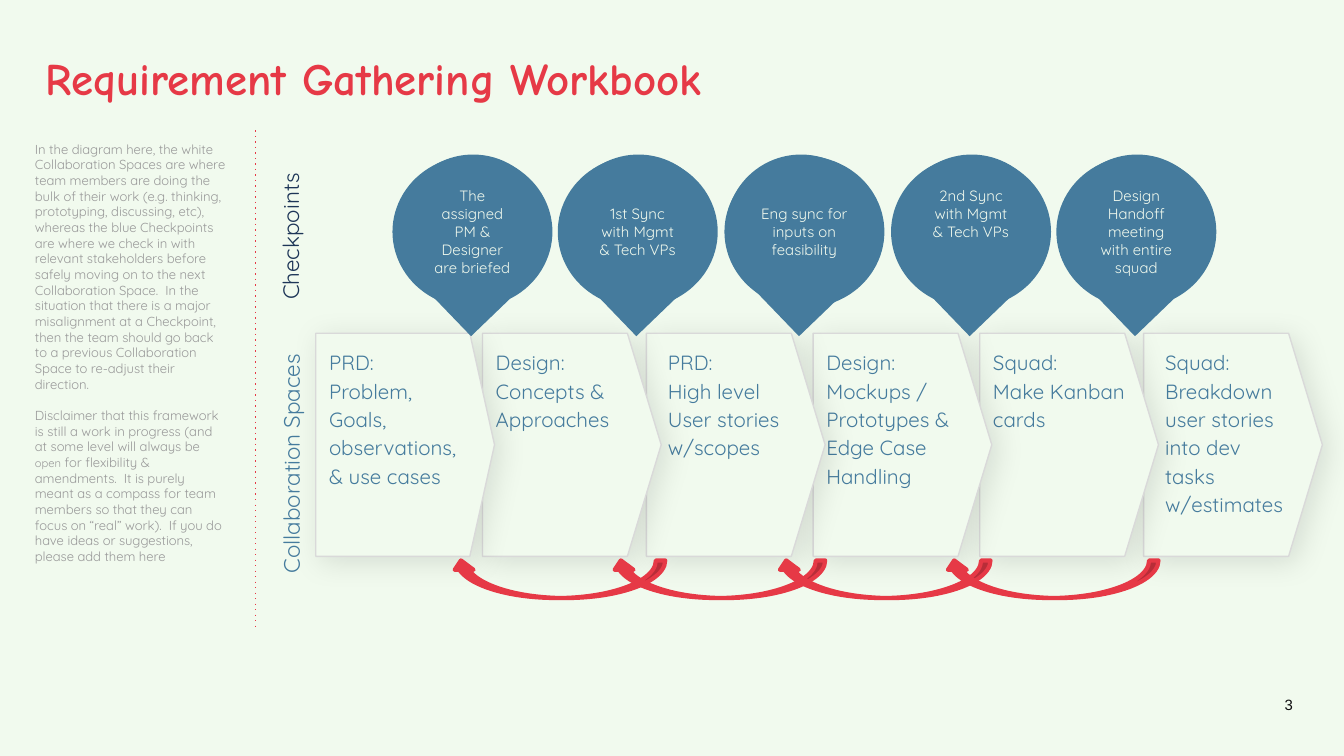
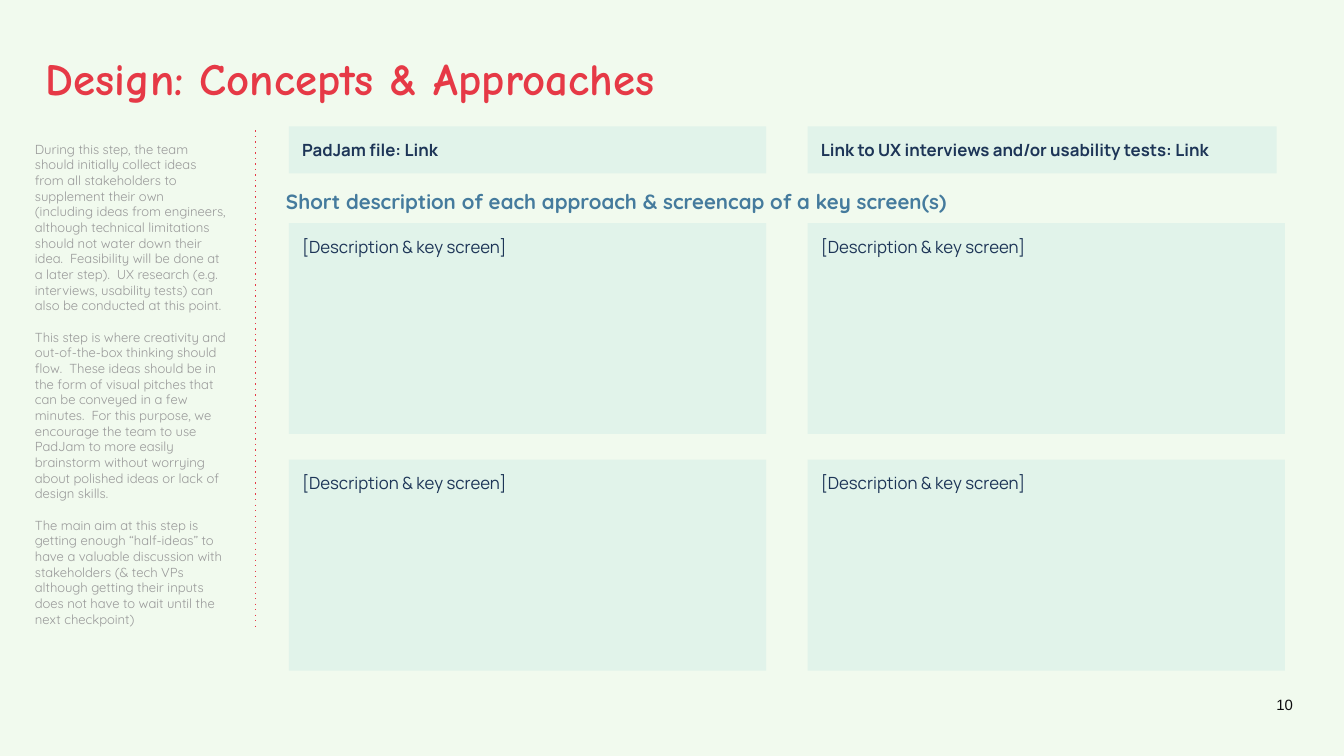
from lxml import etree
from pptx import Presentation, util as u
from pptx.dml import color as dml
from pptx.enum import shapes, text
from pptx.oxml import ns

EMU_PER_PX = 9144
COLORS = {
    "background": "F1FAEE",
    "red": "E63946",
    "blue": "457B9D",
    "navy": "1D3557",
    "aqua": "A8DADC",
    "grey": "999999",
    "border": "D9D9D9",
    "number": "0D0C0E",
}
BODY_FONT = "Quicksand"
CARD_FONT = "Manrope"
TITLE_FONT = "Comic Neue"

SPACES = [
    (235, 10, 0.138, "PRD:\vProblem, Goals, observations, & use cases"),
    (359, 10, 0.189, "Design:\vConcepts & Approaches"),
    (481, 16, 0.189, "PRD:\vHigh level User stories w/scopes"),
    (605, 10, 0.189, "Design:\vMockups / Prototypes & Edge Case Handling"),
    (729, 10, 0.189, "Squad:\vMake Kanban cards"),
    (851, 16, 0.189, "Squad:\vBreakdown user stories into dev tasks w/estimates"),
]
CHECKPOINTS = [
    (292, 296, 10, "The assigned PM & Designer are briefed"),
    (415, 419, 10, "1st Sync with Mgmt & Tech VPs"),
    (539, 540, 10, "Eng sync for inputs on feasibility"),
    (663, 667, 37, "2nd Sync with Mgmt & Tech VPs"),
    (786, 790, 10, "Design Handoff meeting with entire squad"),
]
RETURN_ARROW_LEFTS = [336, 455, 578, 703]
WORKBOOK_NOTES = [
    [("In the diagram here, the white Collaboration Spaces are where team members are "
      "doing the bulk of their work (e.g. thinking, prototyping, discussing, etc), whereas "
      "the blue Checkpoints are where we check in with relevant stakeholders before safely "
      "moving on to the next Collaboration Space.  In the situation that there is a major "
      "misalignment at a Checkpoint, then the team should go back to a previous "
      "Collaboration Space to re-adjust their direction.", 7)],
    [("Disclaimer that this framework is still a work in progress (and at some level will "
      "always be ", 7),
     ("open", 6),
     (" for flexibility & amendments.  It is purely meant as a compass for team members so "
      "that they can focus on “real” work).  If you do have ideas or suggestions, please "
      "add them here", 7)],
]
CONCEPT_NOTES = [
    [("During this step, the team should initially collect ideas from all stakeholders to "
      "supplement their own (including ideas from engineers, although technical limitations "
      "should not water down their idea.  Feasibility will be done at a later step).  UX "
      "research (e.g. interviews, usability tests) can also be conducted at this point.", 7)],
    [("This step is where creativity and out-of-the-box thinking should flow.  These ideas "
      "should be in the form of visual pitches that can be conveyed in a few minutes.  For "
      "this purpose, we encourage the team to use PadJam to more easily brainstorm without "
      "worrying about polished ideas or lack of design skills.", 7)],
    [("The main aim at this step is getting enough “half-ideas” to have a valuable "
      "discussion with stakeholders (& tech VPs although getting their inputs does not have "
      "to wait until the next checkpoint)", 7)],
]


def px(length):
    return u.Emu(length * EMU_PER_PX)


def rgb(name):
    return dml.RGBColor.from_string(COLORS[name])


def place(shape, left, top, width, height):
    shape.left, shape.top = px(left), px(top)
    shape.width, shape.height = px(width), px(height)


def set_frame(shape, anchor=text.MSO_ANCHOR.TOP, left=10, bottom=10):
    frame = shape.text_frame
    frame.word_wrap = True
    frame.auto_size = text.MSO_AUTO_SIZE.NONE
    frame.vertical_anchor = anchor
    frame.margin_left, frame.margin_bottom = px(left), px(bottom)
    frame.margin_top = frame.margin_right = px(10)
    return frame


def style(paragraph, size, color, font=BODY_FONT, bold=False,
          align=text.PP_ALIGN.LEFT, spacing=None):
    paragraph.alignment = align
    paragraph.line_spacing = spacing
    paragraph.font.name = font
    paragraph.font.size = u.Pt(size)
    paragraph.font.bold = bold
    paragraph.font.color.rgb = rgb(color)


def write(frame, wording, size, color, **options):
    frame.text = wording
    style(frame.paragraphs[0], size, color, **options)


def add_label(slide, box, wording, size, color, rotation=0,
              anchor=text.MSO_ANCHOR.TOP, **options):
    label = slide.shapes.add_textbox(*map(px, box))
    label.rotation = rotation
    write(set_frame(label, anchor), wording, size, color, **options)


def add_filled(slide, kind, box, color):
    shape = slide.shapes.add_shape(kind, *map(px, box))
    shape.shadow.inherit = False
    shape.fill.solid()
    shape.fill.fore_color.rgb = rgb(color)
    shape.line.fill.background()
    return shape


def outline(shape, color, width):
    shape.line.color.rgb = rgb(color)
    shape.line.width = u.Pt(width)


def add_child(parent, tag, **attributes):
    return etree.SubElement(parent, ns.qn(tag), attributes)


def add_soft_shadow(shape):
    effects = shape._element.spPr.find(ns.qn("a:effectLst"))
    shadow = add_child(effects, "a:outerShdw", blurRad=str(u.Pt(15.8)),
                       dist=str(u.Pt(3.8)), dir="2580000", algn="bl", rotWithShape="0")
    shade = add_child(shadow, "a:srgbClr", val="000000")
    add_child(shade, "a:alpha", val="11000")


def add_divider(slide):
    divider = slide.shapes.add_connector(
        shapes.MSO_CONNECTOR.STRAIGHT, px(190), px(97), px(190), px(466))
    outline(divider, "red", 0.75)
    properties = divider._element.spPr
    add_child(properties.find(ns.qn("a:ln")), "a:prstDash", val="dot")
    add_child(properties, "a:effectLst")


def add_notes_column(placeholder, notes):
    place(placeholder, 16, 95, 162, 408)
    frame = set_frame(placeholder)
    for index, runs in enumerate(notes):
        paragraph = frame.add_paragraph() if index else frame.paragraphs[0]
        for wording, size in runs:
            run = paragraph.add_run()
            run.text = wording
            run.font.size = u.Pt(size)
        style(paragraph, 7, "grey")
        paragraph.space_before = u.Pt(8.4 if index else 0)
        properties = paragraph._p.get_or_add_pPr()
        properties.set("marL", "0")
        properties.set("indent", "0")
        bullet = etree.Element(ns.qn("a:buNone"))
        properties.insert_element_before(bullet, "a:tabLst", "a:defRPr", "a:extLst")


def add_page(presentation, title, notes, number):
    slide = presentation.slides.add_slide(presentation.slide_layouts[1])
    heading = slide.shapes.title
    place(heading, 24, 22, 779, 88)
    write(set_frame(heading), title, 24, "red", font=TITLE_FONT, bold=True, spacing=1.15)
    add_notes_column(slide.placeholders[1], notes)
    add_divider(slide)
    add_label(slide, (918, 498, 54, 43), number, 8, "number", font="Arial",
              anchor=text.MSO_ANCHOR.BOTTOM, align=text.PP_ALIGN.RIGHT)
    return slide


def add_space(slide, left, margin, point, wording):
    plate = add_filled(slide, shapes.MSO_SHAPE.PENTAGON, (left, 248, 133, 166), "background")
    plate.adjustments[0] = point
    outline(plate, "border", 0.75)
    add_soft_shadow(plate)
    write(set_frame(plate, left=margin), wording, 11, "blue", spacing=1.15)


def add_checkpoint(slide, left, pin_left, bottom, wording):
    pin = add_filled(slide, shapes.MSO_SHAPE.TEAR, (pin_left, 115, 112, 112), "blue")
    pin.rotation = 136.1
    bubble = add_filled(slide, shapes.MSO_SHAPE.OVAL, (left, 116, 119, 113), "blue")
    write(set_frame(bubble, text.MSO_ANCHOR.MIDDLE, bottom=bottom), wording, 8,
          "background", align=text.PP_ALIGN.CENTER)


def add_return_arrow(slide, left):
    arrow = add_filled(slide, shapes.MSO_SHAPE.CURVED_UP_ARROW, (left, 417, 159, 28), "red")
    outline(arrow, "red", 2.25)
    arrow._element.spPr.find(ns.qn("a:xfrm")).set("flipH", "1")


def add_card(slide, box, wording, bold=False):
    card = add_filled(slide, shapes.MSO_SHAPE.RECTANGLE, box, "aqua")
    fill = card._element.spPr.find(ns.qn("a:solidFill"))
    add_child(fill[0], "a:alpha", val="21000")
    write(set_frame(card), wording, 9, "navy", font=CARD_FONT, bold=bold)


def build_workbook(presentation):
    slide = add_page(presentation, "Requirement Gathering Workbook", WORKBOOK_NOTES, "3")
    for space in reversed(SPACES):
        add_space(slide, *space)
    for checkpoint in CHECKPOINTS:
        add_checkpoint(slide, *checkpoint)
    for left in RETURN_ARROW_LEFTS:
        add_return_arrow(slide, left)
    for box, wording, color in [
        ((120, 158, 182, 36), "Checkpoints", "navy"),
        ((98, 327, 227, 36), "Collaboration Spaces", "blue"),
    ]:
        add_label(slide, box, wording, 12, color, rotation=270,
                  align=text.PP_ALIGN.CENTER, spacing=1.15)


def build_concepts(presentation):
    slide = add_page(presentation, "Design: Concepts & Approaches", CONCEPT_NOTES, "10")
    add_label(slide, (203, 131, 753, 37),
              "Short description of each approach & screencap of a key screen(s)",
              11, "blue", bold=True)
    for left, width, link in [
        (215, 355, "PadJam file: Link"),
        (601, 349, "Link to UX interviews and/or usability tests: Link"),
    ]:
        add_card(slide, (left, 94, width, 35), link, bold=True)
        for top in (166, 342):
            add_card(slide, (left, top, 355, 157), "[Description & key screen]")


def main():
    presentation = Presentation()
    presentation.slide_width = px(1000)
    presentation.slide_height = presentation.slide_width * 9 // 16
    background = presentation.slide_master.background.fill
    background.solid()
    background.fore_color.rgb = rgb("background")
    build_workbook(presentation)
    build_concepts(presentation)
    presentation.save("out.pptx")


if __name__ == "__main__":
    main()
